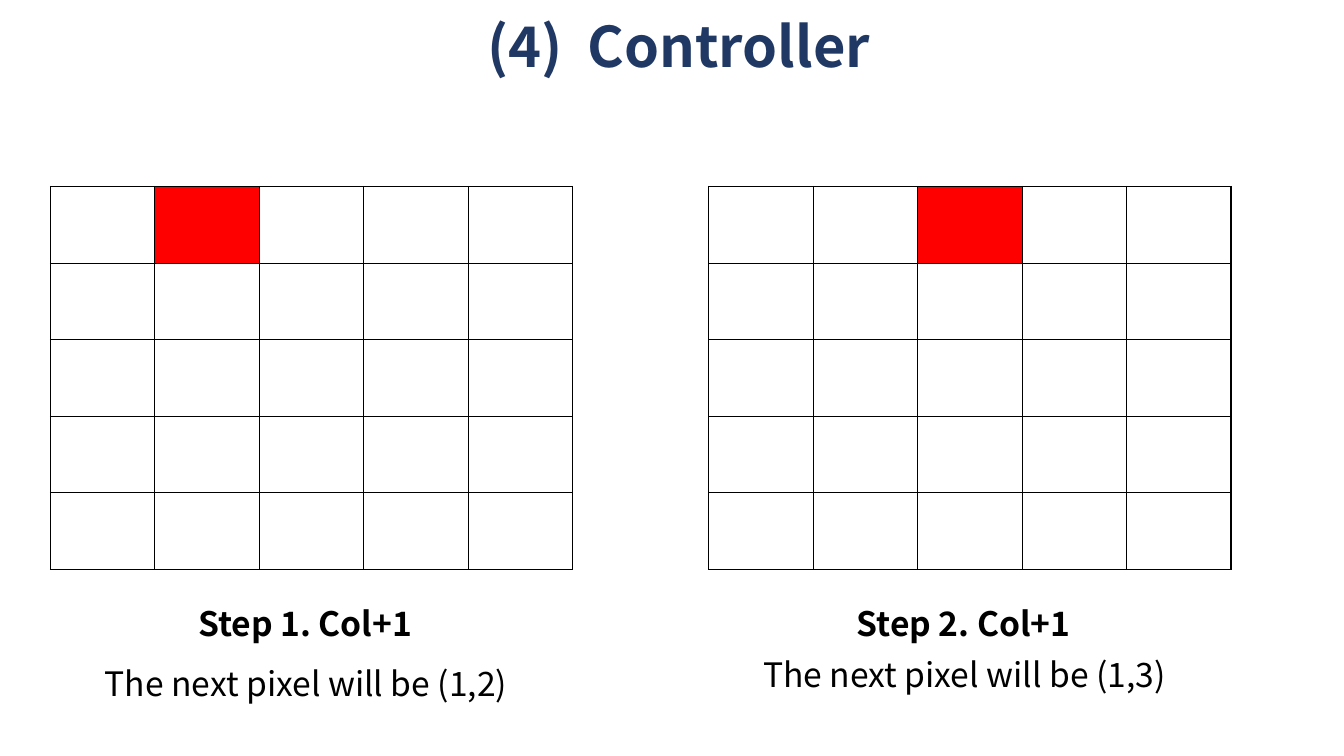
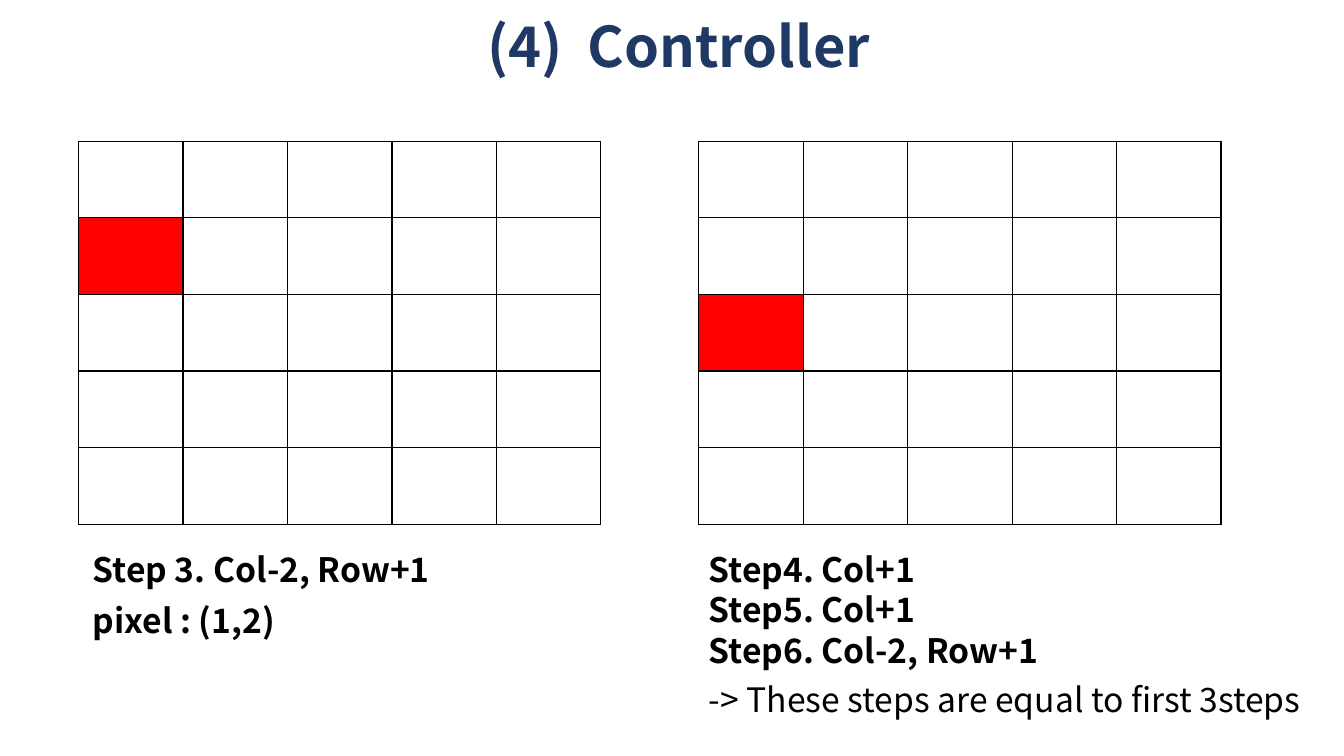
"""Build two slides that step a highlighted pixel through a grid."""
from dataclasses import dataclass

from lxml import etree
from pptx import Presentation
from pptx.dml.color import RGBColor
from pptx.enum.text import MSO_ANCHOR, PP_ALIGN
from pptx.oxml.ns import qn
from pptx.slide import Slide
from pptx.table import _Cell
from pptx.text.text import TextFrame, _Paragraph
from pptx.util import Inches, Pt

CENTER, LEFT = PP_ALIGN.CENTER, PP_ALIGN.LEFT
MIDDLE, TOP = MSO_ANCHOR.MIDDLE, MSO_ANCHOR.TOP

SLIDE_W, SLIDE_H = 13.33, 7.5
GRID_SIZE = 5
CELL_W, CELL_H = 5.18 / GRID_SIZE, 0.76
LINE_H = 0.66
FONT = "Noto Sans CJK KR"
NAVY, BLACK, WHITE, RED = "203864", "000000", "FFFFFF", "FF0000"
TITLE_PT, CAPTION_PT, BORDER_PT = 40, 24, 1
TITLE_GAP = "900"
BORDER_SIDES = ("a:lnL", "a:lnR", "a:lnT", "a:lnB")


@dataclass(frozen=True)
class Caption:
    """Text under a grid: offsets and width in grid cells, centred when indent is None."""

    lines: tuple[str, ...]
    below: float
    width: float
    indent: float | None = None
    bold: bool = True


@dataclass(frozen=True)
class Panel:
    """A pixel grid: left as a share of the slide width, lit pixel as row and column."""

    left: float
    lit: tuple[int, int]
    captions: tuple[Caption, ...]


@dataclass(frozen=True)
class Page:
    """A slide: shared grid top as a share of the slide height, and its panels."""

    top: float
    panels: tuple[Panel, ...]


PAGES = (
    Page(0.2467, (
        Panel(0.0375, (0, 1), (
            Caption(("Step 1. Col+1",), 0.37, 2.36),
            Caption(("The next pixel will be (1,2)",), 1.16, 4.15, bold=False),
        )),
        Panel(0.5274, (0, 2), (
            Caption(("Step 2. Col+1",), 0.37, 2.36),
            Caption(("The next pixel will be (1,3)",), 1.04, 4.15, bold=False),
        )),
    )),
    Page(0.1867, (
        Panel(0.0585, (1, 0), (
            Caption(("Step 3. Col-2, Row+1",), 0.26, 4.9, 0.04),
            Caption(("pixel : (1,2)",), 0.92, 3.1, 0.04),
        )),
        Panel(0.52, (2, 0), (
            Caption(("Step4. Col+1", "Step5. Col+1", "Step6. Col-2, Row+1"), 0.26, 3.4, 0),
            Caption(("-> These steps are equal to first 3steps",), 1.96, 6.1, 0, bold=False),
        )),
    )),
)


def color(value: str) -> RGBColor:
    """Turn a hex string into a colour."""
    return RGBColor.from_string(value)


def add_span(para: _Paragraph, text: str, size: float, ink: str, bold: bool):
    """Add one styled run and return it."""
    span = para.add_run()
    span.text = text
    span.font.name = FONT
    span.font.size = Pt(size)
    span.font.bold = bold
    span.font.color.rgb = color(ink)
    return span


def add_box(page: Slide, left: float, top: float, width: float, height: float,
            anchor: MSO_ANCHOR) -> TextFrame:
    """Add a wrapping text box and return its frame."""
    box = page.shapes.add_textbox(Inches(left), Inches(top), Inches(width), Inches(height))
    frame = box.text_frame
    frame.word_wrap = True
    frame.vertical_anchor = anchor
    return frame


def add_title(page: Slide) -> None:
    """Add the shared title, with a widened space after the number."""
    frame = add_box(page, 0.0735 * SLIDE_W, 0.0013 * SLIDE_H,
                    0.8627 * SLIDE_W, 0.128 * SLIDE_H, MIDDLE)
    para = frame.paragraphs[0]
    para.alignment = CENTER
    para.line_spacing = 0.9
    _, gap, _ = [add_span(para, text, TITLE_PT, NAVY, True)
                 for text in ("(4)", " ", "Controller")]
    gap.font._element.set("spc", TITLE_GAP)


def style_cell(cell: _Cell, fill: str) -> None:
    """Fill a cell and draw its four borders."""
    cell.fill.solid()
    cell.fill.fore_color.rgb = color(fill)
    properties = cell._tc.get_or_add_tcPr()
    for index, side in enumerate(BORDER_SIDES):
        line = etree.Element(qn(side), w=str(Pt(BORDER_PT)))
        solid = etree.SubElement(line, qn("a:solidFill"))
        etree.SubElement(solid, qn("a:srgbClr"), val=BLACK)
        properties.insert(index, line)


def add_grid(page: Slide, left: float, top: float, lit: tuple[int, int]) -> None:
    """Add a square table with one lit pixel."""
    table = page.shapes.add_table(
        GRID_SIZE, GRID_SIZE, Inches(left), Inches(top),
        Inches(GRID_SIZE * CELL_W), Inches(GRID_SIZE * CELL_H)).table
    table.first_row = table.horz_banding = False
    for row_index, row in enumerate(table.rows):
        row.height = Inches(CELL_H)
        for column_index, cell in enumerate(row.cells):
            style_cell(cell, RED if (row_index, column_index) == lit else WHITE)


def add_caption(page: Slide, caption: Caption, left: float, bottom: float) -> None:
    """Add a caption below a grid's left bottom corner."""
    indent = caption.indent
    if indent is None:
        indent = (GRID_SIZE - caption.width) / 2
    frame = add_box(page, left + indent * CELL_W, bottom + caption.below * CELL_H,
                    caption.width * CELL_W, len(caption.lines) * LINE_H * CELL_H, TOP)
    for index, text in enumerate(caption.lines):
        para = frame.add_paragraph() if index else frame.paragraphs[0]
        para.alignment = LEFT
        add_span(para, text, CAPTION_PT, BLACK, caption.bold)


def add_panel(page: Slide, panel: Panel, top: float) -> None:
    """Add a grid and the captions under it."""
    left = panel.left * SLIDE_W
    add_grid(page, left, top, panel.lit)
    for caption in panel.captions:
        add_caption(page, caption, left, top + GRID_SIZE * CELL_H)


def main() -> None:
    """Build and save the deck."""
    deck = Presentation()
    deck.slide_width, deck.slide_height = Inches(SLIDE_W), Inches(SLIDE_H)
    blank = deck.slide_layouts[6]
    for content in PAGES:
        page = deck.slides.add_slide(blank)
        add_title(page)
        for panel in content.panels:
            add_panel(page, panel, content.top * SLIDE_H)
    deck.save("out.pptx")


if __name__ == "__main__":
    main()
